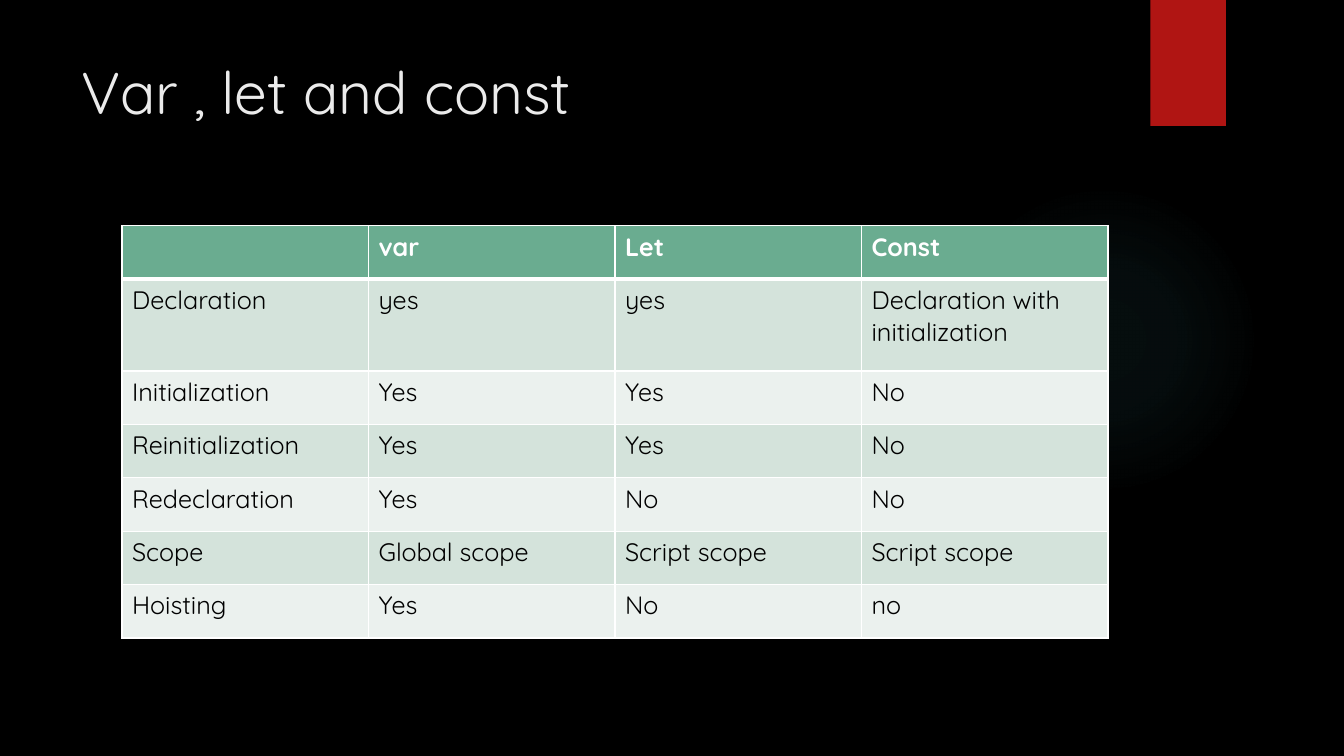
from pptx import Presentation
from pptx import util as u
from pptx.dml import color
from pptx.enum import shapes, text
from pptx.oxml import parse_xml
from pptx.oxml import ns

FONT = "Quicksand"
ROWS = [
    ["", "var", "Let", "Const"],
    ["Declaration", "yes", "yes", "Declaration with initialization"],
    ["Initialization", "Yes", "Yes", "No"],
    ["Reinitialization", "Yes", "Yes", "No"],
    ["Redeclaration", "Yes", "No", "No"],
    ["Scope", "Global scope", "Script scope", "Script scope"],
    ["Hoisting", "Yes", "No", "no"],
]


def rgb(value):
    """Turn a hex string into a colour."""
    return color.RGBColor.from_string(value)


def write(frame, words, size, tint, bold=False):
    """Put one formatted run into a text frame."""
    span = frame.paragraphs[0].add_run()
    span.text = words
    span.font.name = FONT
    span.font.size = u.Pt(size)
    span.font.bold = bold
    span.font.color.rgb = rgb(tint)


def add_plain_shape(page, kind, box):
    """Add a shape without outline or shadow."""
    shape = page.shapes.add_shape(kind, *map(u.Inches, box))
    shape.shadow.inherit = False
    shape.line.fill.background()
    return shape


def add_glow(page, box):
    """Add a faint circle that fades out from its centre."""
    glow = add_plain_shape(page, shapes.MSO_SHAPE.OVAL, box)
    glow.fill.background()
    stops = "".join(
        f'<a:gs pos="{place * 1000}"><a:srgbClr val="50B9C1">'
        f'<a:alpha val="{alpha * 1000}"/></a:srgbClr></a:gs>'
        for place, alpha in [(0, 7), (36, 6), (69, 0)]
    )
    gradient = parse_xml(
        f'<a:gradFill {ns.nsdecls("a")}><a:gsLst>{stops}</a:gsLst><a:path path="circle">'
        '<a:fillToRect l="50000" t="50000" r="50000" b="50000"/></a:path></a:gradFill>'
    )
    properties = glow.element.spPr
    properties.replace(properties.find(ns.qn("a:noFill")), gradient)


def add_ribbon(page, box):
    """Add the red ribbon at the top edge."""
    ribbon = add_plain_shape(page, shapes.MSO_SHAPE.RECTANGLE, box)
    ribbon.fill.solid()
    ribbon.fill.fore_color.rgb = rgb("B01513")


def add_title(page, box):
    """Place and fill the title placeholder."""
    title = page.shapes.title
    title.left, title.top, title.width, title.height = map(u.Inches, box)
    frame = title.text_frame
    frame.word_wrap = True
    frame.auto_size = text.MSO_AUTO_SIZE.NONE
    frame.vertical_anchor = text.MSO_ANCHOR.TOP
    frame.paragraphs[0].alignment = text.PP_ALIGN.LEFT
    write(frame, "Var , let and const", 42, "EBEBEB")


def add_borders(cell, bottom):
    """Draw white cell borders with the given bottom width."""
    properties = cell._tc.get_or_add_tcPr()
    widths = {"lnL": 1, "lnR": 1, "lnT": 1, "lnB": bottom}
    for place, (side, width) in enumerate(widths.items()):
        properties.insert(place, parse_xml(
            f'<a:{side} {ns.nsdecls("a")} w="{u.Pt(width)}"><a:solidFill>'
            f'<a:srgbClr val="FFFFFF"/></a:solidFill></a:{side}>'
        ))


def add_comparison(page, box):
    """Add the banded table that compares the keywords."""
    frame = page.shapes.add_table(len(ROWS), len(ROWS[0]), *map(u.Inches, box))
    table = frame.table
    for number, words in enumerate(ROWS):
        header = number == 0
        table.rows[number].height = u.Inches(0.91 if number == 1 else 0.53)
        band = "6AAC90" if header else ("EBF1EE", "D4E3DB")[number % 2]
        for column, entry in enumerate(words):
            cell = table.cell(number, column)
            cell.fill.solid()
            cell.fill.fore_color.rgb = rgb(band)
            add_borders(cell, 3 if header else 1)
            if entry:
                write(cell.text_frame, entry, 18, "FFFFFF" if header else "000000", header)


def main():
    """Build the slide and save it."""
    deck = Presentation()
    deck.slide_width, deck.slide_height = u.Inches(13.33), u.Inches(7.5)
    page = deck.slides.add_slide(deck.slide_layouts[5])
    page.background.fill.solid()
    page.background.fill.fore_color.rgb = rgb("000000")
    add_glow(page, (9.41, 1.83, 3.08, 3.08))
    add_ribbon(page, (11.41, 0, 0.75, 1.25))
    add_title(page, (0.71, 0.5, 10.29, 1.04))
    add_comparison(page, (1.21, 2.24, 9.78, 4.08))
    deck.save("out.pptx")


if __name__ == "__main__":
    main()
